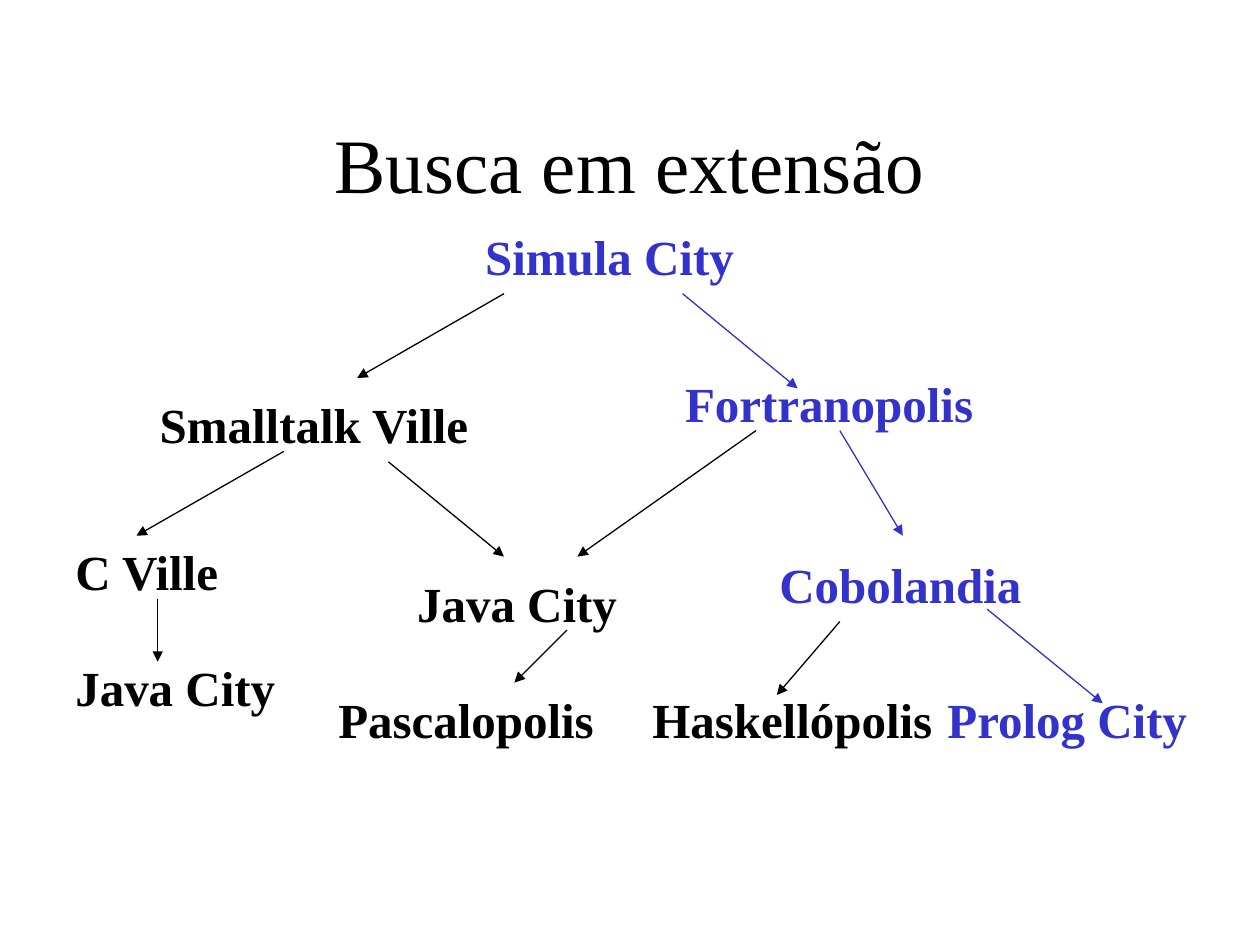
from typing import NamedTuple

import lxml.etree
import pptx
import pptx.dml.color
import pptx.enum.shapes
import pptx.enum.text
import pptx.oxml.ns
import pptx.slide
import pptx.util

Cm = pptx.util.Cm
COLORS = {"plain": "000000", "path found": "3333CC"}
FONT = "Times New Roman"
CITY_HEIGHT = 1.45
LEAF_TOP = 13.77


class City(NamedTuple):
    name: str
    left: float
    top: float
    width: float
    color: str = "plain"


class Road(NamedTuple):
    start_x: float
    start_y: float
    end_x: float
    end_y: float
    color: str = "plain"


CITIES = [
    City("Simula City", 9.53, 4.45, 5.6, "path found"),
    City("Smalltalk Ville", 2.97, 7.82, 6.85),
    City("Fortranopolis", 13.56, 7.41, 6.4, "path found"),
    City("C Ville", 1.27, 10.8, 3.5),
    City("Java City", 8.16, 11.43, 4.6),
    City("Cobolandia", 15.46, 11.05, 5.45, "path found"),
    City("Java City", 1.27, 13.13, 4.6),
    City("Pascalopolis", 6.57, LEAF_TOP, 5.75),
    City("Haskellópolis", 12.9, LEAF_TOP, 6.25),
    City("Prolog City", 18.85, LEAF_TOP, 5.45, "path found"),
]

ROADS = [
    Road(10.16, 5.92, 7.2, 7.62),
    Road(13.76, 5.92, 16.08, 7.83, "path found"),
    Road(5.72, 9.1, 2.75, 10.8),
    Road(7.83, 9.31, 10.16, 11.22),
    Road(15.24, 8.68, 11.64, 11.22),
    Road(16.93, 8.68, 18.2, 10.8, "path found"),
    Road(3.18, 12.07, 3.18, 13.34),
    Road(11.43, 12.7, 10.37, 13.76),
    Road(16.93, 12.53, 15.66, 14.01),
    Road(19.9, 12.28, 22.23, 14.18, "path found"),
]


def rgb(color: str) -> pptx.dml.color.RGBColor:
    return pptx.dml.color.RGBColor.from_string(COLORS[color])


def add_title(page: pptx.slide.Slide, text: str) -> None:
    box = page.shapes.add_textbox(Cm(1.9), Cm(1.7), Cm(21.6), Cm(3.18))
    frame = box.text_frame
    frame.word_wrap = True
    frame.vertical_anchor = pptx.enum.text.MSO_ANCHOR.MIDDLE
    para = frame.paragraphs[0]
    para.text = text
    para.alignment = pptx.enum.text.PP_ALIGN.CENTER
    para.font.name = FONT
    para.font.size = pptx.util.Pt(44)
    para.font.color.rgb = rgb("plain")


def add_city(page: pptx.slide.Slide, city: City) -> None:
    """Write a city's name on one line, in a box that grows with the text."""
    box = page.shapes.add_textbox(
        Cm(city.left), Cm(city.top), Cm(city.width), Cm(CITY_HEIGHT)
    )
    frame = box.text_frame
    frame.word_wrap = False
    frame.auto_size = pptx.enum.text.MSO_AUTO_SIZE.SHAPE_TO_FIT_TEXT
    para = frame.paragraphs[0]
    para.text = city.name
    para.font.name = FONT
    para.font.size = pptx.util.Pt(28)
    para.font.bold = True
    para.font.color.rgb = rgb(city.color)


def add_road(page: pptx.slide.Slide, road: Road) -> None:
    """Draw an arrow with its head at the road's end."""
    arrow = page.shapes.add_connector(
        pptx.enum.shapes.MSO_CONNECTOR.STRAIGHT,
        Cm(road.start_x), Cm(road.start_y), Cm(road.end_x), Cm(road.end_y),
    )
    arrow.line.width = pptx.util.Pt(0.75)
    arrow.line.color.rgb = rgb(road.color)
    qn = pptx.oxml.ns.qn
    properties = arrow.element.spPr
    lxml.etree.SubElement(properties.find(qn("a:ln")), qn("a:tailEnd"), type="triangle")
    lxml.etree.SubElement(properties, qn("a:effectLst"))


def main() -> None:
    deck = pptx.Presentation()
    deck.slide_width, deck.slide_height = Cm(25.4), Cm(19.05)
    page = deck.slides.add_slide(deck.slide_layouts[6])
    add_title(page, "Busca em extensão")
    for road in ROADS:
        add_road(page, road)
    for city in CITIES:
        add_city(page, city)
    deck.save("out.pptx")


if __name__ == "__main__":
    main()
